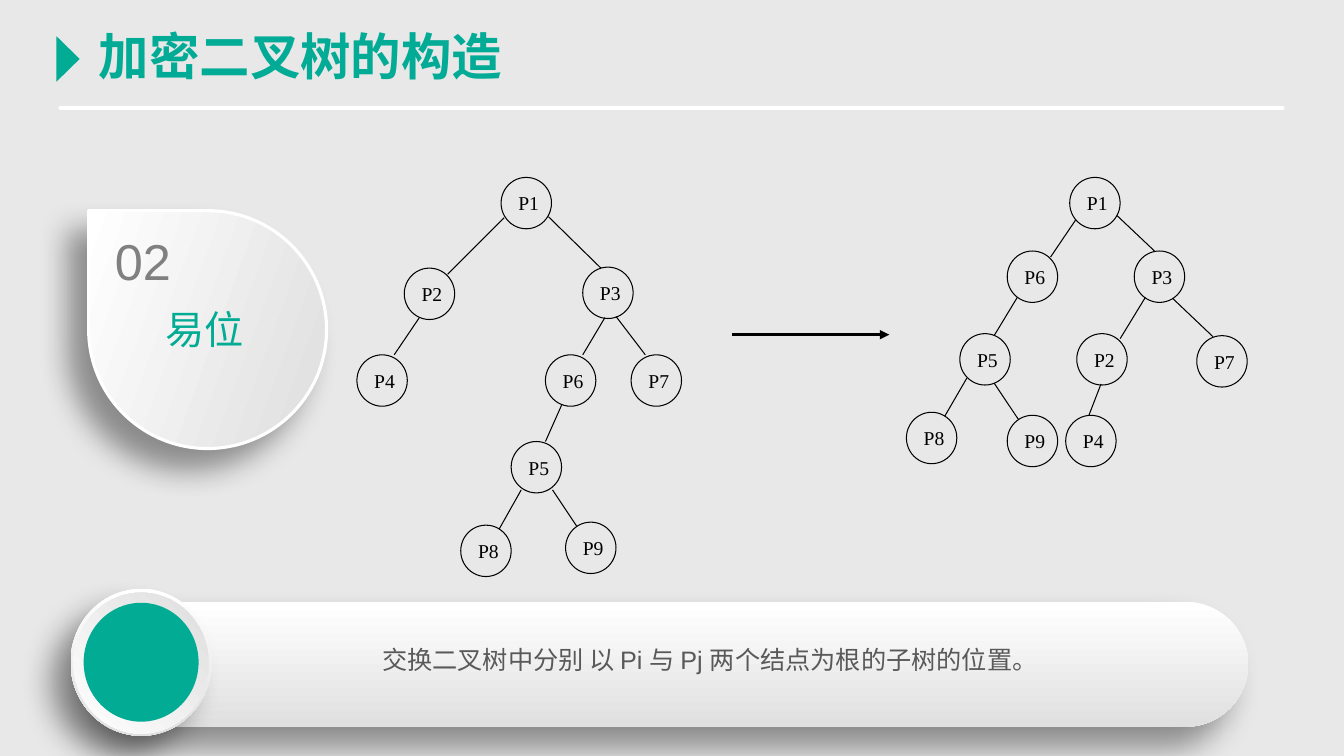
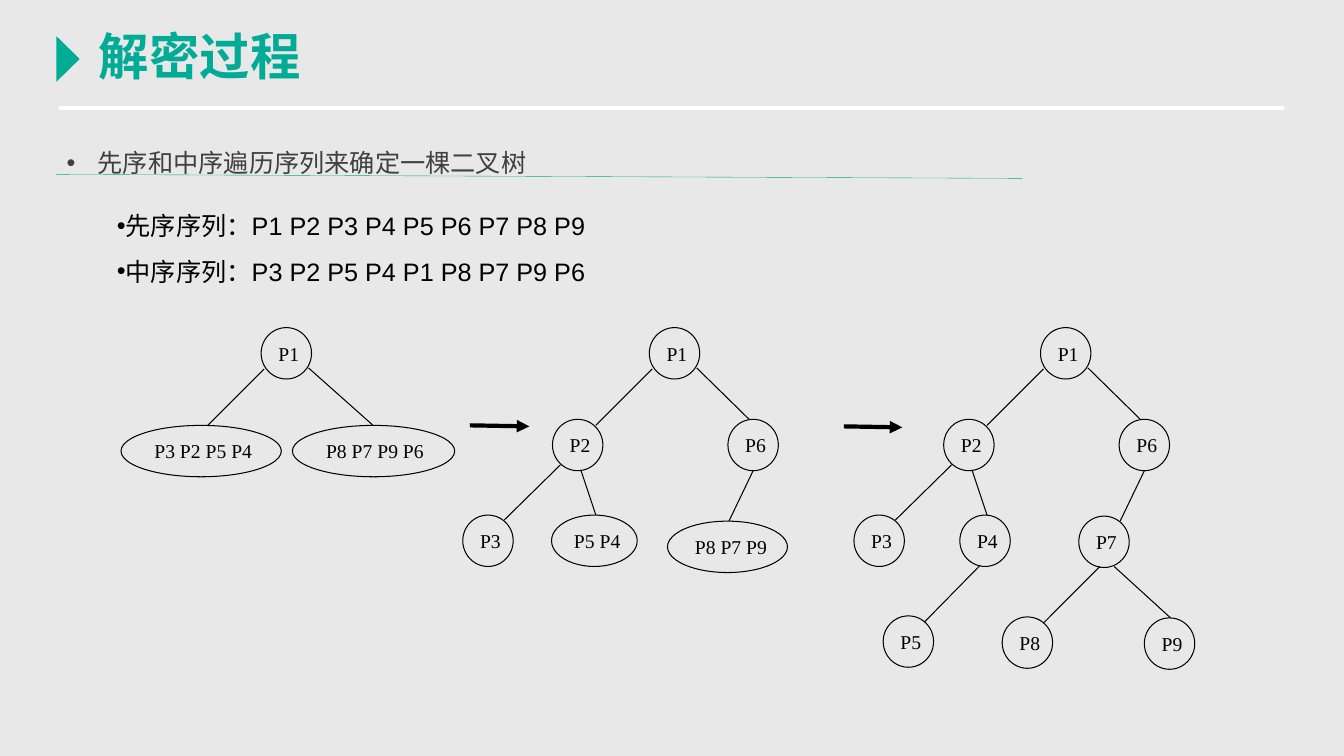
import pptx
import pptx.dml.color
import pptx.enum.dml
import pptx.enum.shapes
import pptx.enum.text
import pptx.oxml
import pptx.oxml.ns
import pptx.util

Inches, Pt = pptx.util.Inches, pptx.util.Pt
qn = pptx.oxml.ns.qn
SHAPE = pptx.enum.shapes.MSO_SHAPE
ANCHOR = pptx.enum.text.MSO_ANCHOR
ALIGN = pptx.enum.text.PP_ALIGN

COLORS = {
    "background": "E8E8E8", "white": "FFFFFF", "black": "000000",
    "accent": "01AB94", "title": "01AB95", "number": "808080",
    "sentence": "595959", "heading": "404040",
    "silver": "DDDEDD", "light grey": "E0E0E0",
}
RGB = {name: pptx.dml.color.RGBColor.from_string(value) for name, value in COLORS.items()}
NAMESPACE = 'xmlns:a="http://schemas.openxmlformats.org/drawingml/2006/main"'
SHADOW = (f'<a:effectLst {NAMESPACE}><a:outerShdw blurRad="{Pt(22)}" dist="{Pt(20)}" dir="8100000" '
          f'algn="tr" rotWithShape="0"><a:srgbClr val="{COLORS["black"]}"><a:alpha val="40000"/>'
          '</a:srgbClr></a:outerShdw></a:effectLst>')
NODE_SIZE = (0.5, 0.51)


def add_figure(slide, kind, box, fill=None, angle=None, line=None, shadow=False):
    """Add a preset shape; a pair of fill colours with an angle makes a gradient."""
    shape = slide.shapes.add_shape(kind, *map(Inches, box))
    if fill is None:
        shape.fill.background()
    elif angle is None:
        shape.fill.solid()
        shape.fill.fore_color.rgb = RGB[fill]
    else:
        shape.fill.gradient()
        shape.fill.gradient_angle = 360 - angle
        for stop, color in zip(shape.fill.gradient_stops, fill):
            stop.color.rgb = RGB[color]
    if line:
        shape.line.color.rgb, shape.line.width = RGB[line[0]], Pt(line[1])
    else:
        shape.line.fill.background()
    if shadow:
        shape.element.spPr.append(pptx.oxml.parse_xml(SHADOW))
    else:
        shape.shadow.inherit = False
    return shape


def write_text(shape, lines, size, color, font="Arial", bold=False, wrap=True,
               anchor=ANCHOR.TOP, align=ALIGN.LEFT, spacing=1.0, margin=0, indent=0, bullet=None):
    frame = shape.text_frame
    frame.text = "\n".join(lines)
    frame_format = {"auto_size": pptx.enum.text.MSO_AUTO_SIZE.NONE,
                    "word_wrap": wrap, "vertical_anchor": anchor}
    paragraph_format = {"alignment": align, "line_spacing": spacing,
                        "space_before": Pt(0), "space_after": Pt(0)}
    font_format = {"name": font, "size": Pt(size), "bold": bold}
    targets = [(frame, frame_format)]
    for paragraph in frame.paragraphs:
        targets += [(paragraph, paragraph_format), (paragraph.runs[0].font, font_format)]
    for target, values in targets:
        for name, value in values.items():
            setattr(target, name, value)
    for paragraph in frame.paragraphs:
        paragraph.runs[0].font.color.rgb = RGB[color]
        properties = paragraph._p.get_or_add_pPr()
        properties.set("marL", str(Inches(margin)))
        properties.set("indent", str(Inches(indent)))
        mark = f'<a:buChar {NAMESPACE} char="{bullet}"/>' if bullet else f"<a:buNone {NAMESPACE}/>"
        properties.append(pptx.oxml.parse_xml(mark))


presentation = pptx.Presentation()
presentation.slide_width, presentation.slide_height = Inches(13.33), Inches(7.5)
master = presentation.slide_master
swap_slide = presentation.slides.add_slide(presentation.slide_layouts.get_by_name("Title and Content"))
decrypt_slide = presentation.slides.add_slide(presentation.slide_layouts.get_by_name("Two Content"))

# Shared background, title rule and title marker on the master
master.background.fill.solid()
master.background.fill.fore_color.rgb = RGB["background"]
title_rule = add_figure(swap_slide, SHAPE.ROUNDED_RECTANGLE, (0.58, 1.05, 12.16, 0.04), "white")
title_rule.adjustments[0] = 0.5
title_marker = add_figure(swap_slide, SHAPE.ISOSCELES_TRIANGLE, (0.45, 0.47, 0.45, 0.23), "accent")
title_marker.rotation = 90
for shape in (title_rule, title_marker):
    master.shapes.element.append(shape.element)

# Titles
for slide, title in ((swap_slide, "加密二叉树的构造"), (decrypt_slide, "解密过程")):
    shape = slide.shapes.title
    shape.left, shape.top = Inches(0.88), Inches(0.2)
    shape.width, shape.height = Inches(0.48 + 0.47 * len(title)), Inches(0.71)
    write_text(shape, [title], 36, "title", bold=True, wrap=False)

# Step badge
badge = add_figure(swap_slide, SHAPE.TEAR, (0.88, 2.09, 2.36, 2.36), ("white", "silver"), 160,
                   line=("white", 2.25), shadow=True)
badge.element.spPr.find(qn("a:xfrm")).set("flipH", "1")
for box, text, size, color in (((1.04, 2.23, 0.76, 0.71), "02", 36, "number"),
                               ((1.54, 2.98, 1.03, 0.57), "易位", 28, "accent")):
    write_text(swap_slide.shapes.add_textbox(*map(Inches, box)), [text], size, color)

# Sentence band with its round button
band = add_figure(swap_slide, SHAPE.ROUNDED_RECTANGLE, (1, 5.97, 11.38, 1.24),
                  ("white", "light grey"), 90, shadow=True)
band.adjustments[0] = 0.5
add_figure(swap_slide, SHAPE.OVAL, (0.7, 5.84, 1.4, 1.46), ("white", "light grey"), 90, shadow=True)
add_figure(swap_slide, SHAPE.OVAL, (0.73, 5.88, 1.34, 1.4), ("white", "silver"), 315)
add_figure(swap_slide, SHAPE.OVAL, (0.83, 5.98, 1.14, 1.18), "accent")

# Body texts
sentence = swap_slide.placeholders[1]
swap_slide.shapes.element.append(sentence.element)  # in front of the band
heading, sequences = decrypt_slide.placeholders[1], decrypt_slide.placeholders[2]
for shape, box, lines, text_format in (
    (sentence, (2.07, 6.34, 9.94, 0.4), ["交换二叉树中分别 以 Pi 与 Pj 两个结点为根的子树的位置。"],
     {"color": "sentence", "align": ALIGN.CENTER}),
    (heading, (0.56, 1.26, 10.06, 0.5), ["先序和中序遍历序列来确定一棵二叉树"],
     {"color": "heading", "spacing": 1.5, "margin": 0.31, "indent": -0.31, "bullet": "•"}),
    (sequences, (0.56, 1.89, 5.76, 1.01),
     ["先序序列：P1 P2 P3 P4 P5 P6 P7 P8 P9", "中序序列：P3 P2 P5 P4 P1 P8 P7 P9 P6"],
     {"color": "black", "spacing": 1.5, "indent": 0.5, "bullet": "•"}),
):
    shape.left, shape.top, shape.width, shape.height = map(Inches, box)
    write_text(shape, lines, 18, **text_format)

# Trees: nodes are (label, left, top, optional width), edges are (x1, y1, x2, y2)
swap_nodes = [
    ("P1", 4.97, 1.76), ("P2", 4.01, 2.66), ("P3", 5.78, 2.65), ("P4", 3.54, 3.52), ("P5", 5.07, 4.38),
    ("P6", 5.41, 3.52), ("P7", 6.26, 3.52), ("P8", 4.57, 5.21), ("P9", 5.61, 5.18),
    ("P1", 10.61, 1.76), ("P2", 10.68, 3.31), ("P3", 11.25, 2.49), ("P4", 10.57, 4.12), ("P5", 9.52, 3.31),
    ("P6", 9.99, 2.49), ("P7", 11.87, 3.33), ("P8", 8.99, 4.09), ("P9", 9.99, 4.12),
]
swap_edges = [
    (5, 2.16, 4.44, 2.72), (5.44, 2.15, 5.96, 2.66), (4.16, 3.15, 3.91, 3.52), (6, 3.15, 5.78, 3.52),
    (6.11, 3.14, 6.4, 3.52), (5.57, 4.02, 5.41, 4.38), (5.17, 4.86, 4.95, 5.25), (5.48, 4.86, 5.72, 5.22),
    (10.67, 2.18, 10.42, 2.55), (11.08, 2.14, 11.45, 2.49), (10.09, 2.95, 9.86, 3.33),
    (11.36, 2.95, 11.11, 3.36), (11.63, 2.96, 12.03, 3.34), (9.59, 3.75, 9.37, 4.13),
    (9.86, 3.8, 10.1, 4.16), (10.92, 3.81, 10.8, 4.12),
]
decrypt_nodes = [
    ("P1", 2.59, 3.25), ("P3 P2 P5 P4", 1.2, 4.22, 1.59), ("P8 P7 P9 P6", 2.9, 4.22, 1.61),
    ("P5 P4", 5.47, 5.11, 0.85), ("P8 P7 P9", 6.62, 5.17, 1.19),
    ("P4", 9.52, 5.11), ("P5", 8.76, 6.11), ("P7", 10.7, 5.12), ("P8", 9.94, 6.12), ("P9", 11.35, 6.13),
]
decrypt_edges = [
    (2.62, 3.66, 2.06, 4.22), (3.06, 3.65, 3.7, 4.22),
    (9.72, 5.61, 9.17, 6.17), (10.91, 5.62, 10.35, 6.18), (11.05, 5.62, 11.61, 6.13),
]
# The second and third decryption trees have the same upper part
for shift in (0, 3.88):
    for label, left, top in (("P1", 6.44, 3.25), ("P2", 5.48, 4.16), ("P6", 7.22, 4.16), ("P3", 4.59, 5.11)):
        decrypt_nodes.append((label, left + shift, top))
    for x1, y1, x2, y2 in ((6.47, 3.66, 5.91, 4.22), (6.91, 3.65, 7.43, 4.16), (5.56, 4.61, 5, 5.16),
                           (5.76, 4.66, 5.91, 5.11), (7.47, 4.67, 7.23, 5.17)):
        decrypt_edges.append((x1 + shift, y1, x2 + shift, y2))

for slide, nodes in ((swap_slide, swap_nodes), (decrypt_slide, decrypt_nodes)):
    for label, left, top, *width in nodes:
        box = (left, top, width[0] if width else NODE_SIZE[0], NODE_SIZE[1])
        node = add_figure(slide, SHAPE.OVAL, box, line=("black", 0.75))
        write_text(node, [label], 14, "black", font="Times New Roman", wrap=False, anchor=ANCHOR.MIDDLE)

# Tree edges, arrows between the trees and the heading underline
for slide, lines, color, width, arrow in (
    (swap_slide, swap_edges, "black", 0.75, False),
    (swap_slide, [(7.26, 3.32, 8.82, 3.32)], "black", 2.25, True),
    (decrypt_slide, decrypt_edges, "black", 0.75, False),
    (decrypt_slide, [(4.66, 4.22, 5.25, 4.23), (8.37, 4.23, 8.95, 4.24)], "black", 3, True),
    (decrypt_slide, [(10.14, 1.77, 0.56, 1.73)], "accent", 0.25, False),
):
    for ends in lines:
        connector = slide.shapes.add_connector(pptx.enum.shapes.MSO_CONNECTOR.STRAIGHT, *map(Inches, ends))
        connector.line.color.rgb, connector.line.width = RGB[color], Pt(width)
        properties = connector.element.spPr
        if arrow:
            head = pptx.oxml.parse_xml(f'<a:tailEnd {NAMESPACE} type="triangle"/>')
            properties.find(qn("a:ln")).append(head)
        properties.append(pptx.oxml.parse_xml(f"<a:effectLst {NAMESPACE}/>"))

presentation.save("out.pptx")
